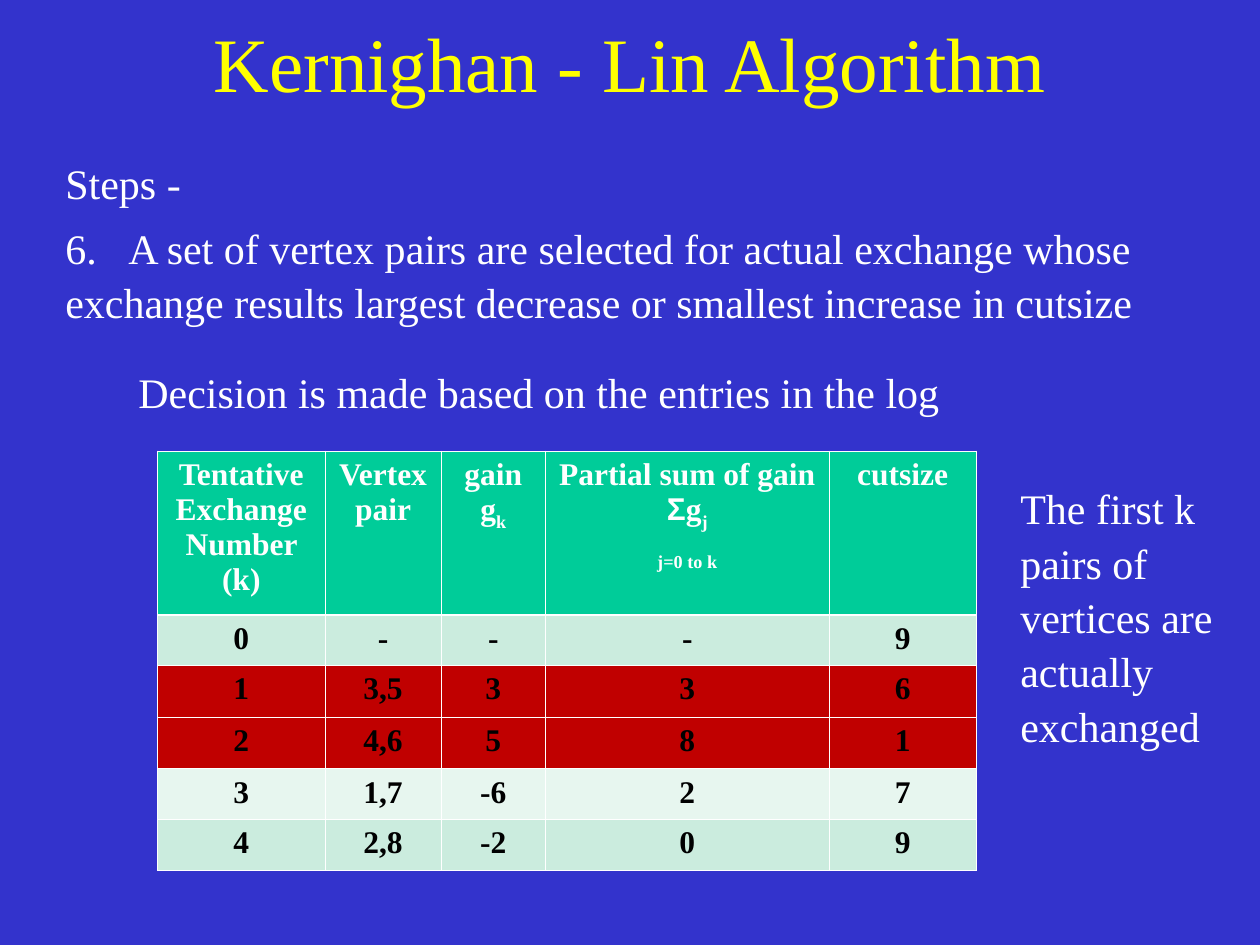
from lxml import etree
from pptx import Presentation
from pptx.dml.color import RGBColor
from pptx.enum import text as t
from pptx.oxml import ns
from pptx.util import Inches, Pt

HUES = {
    "back": "3333CC", "title": "FFFF00", "white": "FFFFFF", "black": "000000",
    "head": "00CC99", "dark": "CBECDE", "light": "E7F6EF", "pick": "C00000",
}
FONT = "Times New Roman"
COLS = [1.33, 0.92, 0.83, 2.25, 1.17]
TALL = [1.3, 0.4, 0.41, 0.41, 0.4, 0.41]
# A header cell is a list of lines; a line is a list of (text, style) runs.
HEADS = [
    [[("Tentative Exchange Number (k)", "")]],
    [[("Vertex pair", "")]],
    [[("gain", "")], [("g", ""), ("k", "sub")]],
    [[("Partial sum of gain", "")],
     [("Σ", "sign"), ("g", ""), ("j", "sub")],
     [("j=0 to k", "sub")]],
    [[("cutsize", "")]],
]
LOG = [
    ("dark", "0", "-", "-", "-", "9"),
    ("pick", "1", "3,5", "3", "3", "6"),
    ("pick", "2", "4,6", "5", "8", "1"),
    ("light", "3", "1,7", "-6", "2", "7"),
    ("dark", "4", "2,8", "-2", "0", "9"),
]


def hue(name):
    return RGBColor.from_string(HUES[name])


def style(para, size, color, bold=False):
    font = para.font
    font.name, font.size, font.bold = FONT, Pt(size), bold
    font.color.rgb = hue(color)


def add_tab(para, pos):
    tabs = etree.SubElement(para._p.get_or_add_pPr(), ns.qn("a:tabLst"))
    etree.SubElement(tabs, ns.qn("a:tab"), pos=str(Inches(pos)), algn="l")


def add_text(slide, box, lines, size=24, color="white"):
    shape = slide.shapes.add_textbox(*map(Inches, box))
    frame = shape.text_frame
    frame.word_wrap = True
    for i, line in enumerate(lines):
        para = frame.add_paragraph() if i else frame.paragraphs[0]
        para.text = line
        para.line_spacing = 1.08
        if i:
            para.space_before = Pt(6)
        if "\t" in line:
            add_tab(para, 0.5)
        style(para, size, color)
    return frame


def add_title(slide, words):
    frame = add_text(slide, (0, 0, 10, 0.92), [words], 44, "title")
    frame.vertical_anchor = t.MSO_ANCHOR.MIDDLE
    frame.paragraphs[0].alignment = t.PP_ALIGN.CENTER


def set_edges(cell, top, bottom):
    props = cell._tc.get_or_add_tcPr()
    widths = {"L": 0.45, "R": 0.45, "T": top, "B": bottom}
    for i, (side, width) in enumerate(widths.items()):
        line = etree.Element(ns.qn(f"a:ln{side}"), w=str(Pt(width)))
        fill = etree.SubElement(line, ns.qn("a:solidFill"))
        etree.SubElement(fill, ns.qn("a:srgbClr"), val=HUES["white"])
        props.insert(i, line)


def fill_cell(cell, lines, back, color):
    cell.fill.solid()
    cell.fill.fore_color.rgb = hue(back)
    frame = cell.text_frame
    for i, line in enumerate(lines):
        para = frame.add_paragraph() if i else frame.paragraphs[0]
        para.alignment = t.PP_ALIGN.CENTER
        style(para, 18, color, True)
        for words, kind in line:
            run = para.add_run()
            run.text = words
            if kind == "sub":
                run.font._element.set("baseline", "-25000")
            elif kind == "sign":
                run.font.name = "Arial"


def add_log(slide):
    frame = slide.shapes.add_table(
        len(TALL), len(COLS), Inches(1.25), Inches(3.58),
        Inches(sum(COLS)), Inches(sum(TALL)))
    table = frame.table
    for col, width in zip(table.columns, COLS):
        col.width = Inches(width)
    for row, height in zip(table.rows, TALL):
        row.height = Inches(height)
    rows = [("head", "white", HEADS)]
    rows += [(back, "black", [[[(word, "")]] for word in words])
             for back, *words in LOG]
    for r, (back, color, cells) in enumerate(rows):
        for c, lines in enumerate(cells):
            cell = table.cell(r, c)
            fill_cell(cell, lines, back, color)
            set_edges(cell, 1.47 if r == 1 else 0.45, 1.47 if r == 0 else 0.45)


def main():
    deck = Presentation()
    deck.slide_width, deck.slide_height = Inches(10), Inches(7.5)
    slide = deck.slides.add_slide(deck.slide_layouts[6])
    slide.background.fill.solid()
    slide.background.fill.fore_color.rgb = hue("back")
    add_title(slide, "Kernighan - Lin Algorithm")
    add_text(slide, (0.42, 1.17, 9.33, 1.33), [
        "Steps -",
        "6.\tA set of vertex pairs are selected for actual exchange whose "
        "exchange results largest decrease or smallest increase in cutsize",
    ])
    add_text(slide, (1, 2.83, 8.75, 0.5),
             ["Decision is made based on the entries in the log"])
    add_log(slide)
    add_text(slide, (8, 3.75, 2, 2.1),
             ["The first k pairs of vertices are actually exchanged"])
    deck.save("out.pptx")


if __name__ == "__main__":
    main()
